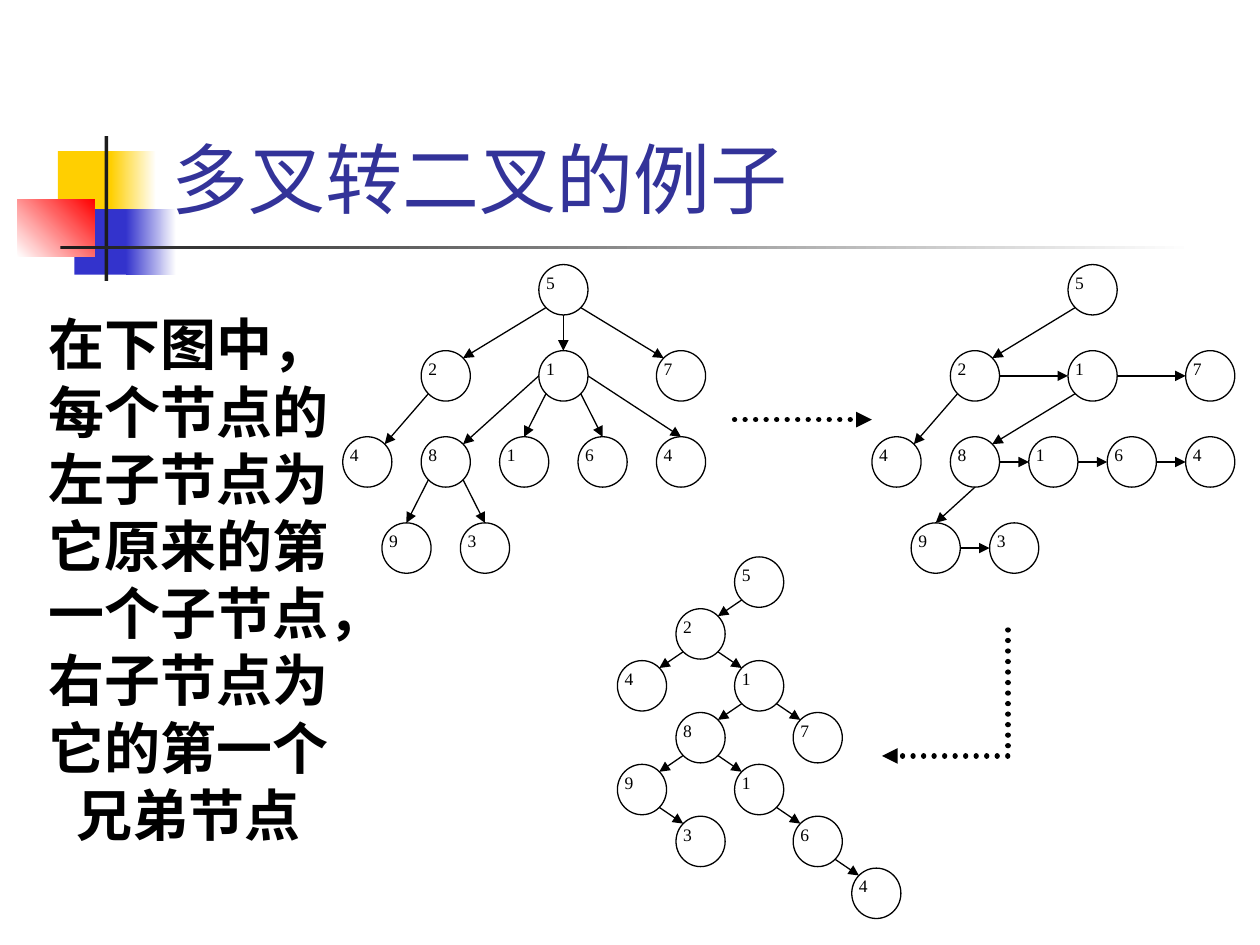
import math

import pptx
import pptx.dml.color
import pptx.enum.dml
import pptx.enum.shapes
import pptx.enum.text
import pptx.oxml
import pptx.oxml.ns
import pptx.util

Inches = pptx.util.Inches
SHAPE = pptx.enum.shapes.MSO_SHAPE
ANCHOR = pptx.enum.text.MSO_ANCHOR
ALIGN = pptx.enum.text.PP_ALIGN

BLACK = "000000"
WHITE = "FFFFFF"
NODE_W, NODE_H = 0.39, 0.4
SITE_ANGLES = {"E": 0, "SE": 45, "S": 90, "SW": 135, "W": 180, "NW": 225, "N": 270, "NE": 315}

DECORATIONS = [
    (0.46, 1.2, 0.48, 0.52, ["FFCF01"], 0),
    (0.88, 1.2, 0.36, 0.52, ["FFCF01", WHITE], 0),
    (0.59, 1.66, 0.46, 0.52, ["3333CC"], 0),
    (1, 1.66, 0.4, 0.52, ["3333CC", WHITE], 0),
    (0.14, 1.58, 0.61, 0.46, [WHITE, "FF0000"], 45),
    (0.83, 1.08, 0.03, 1.15, ["1C1C1C"], 0),
    (0.48, 1.95, 9, 0.03, ["1C1C1C", WHITE], 0),
]

# Node keys start with the label; a letter tells equal labels apart.
WIDE_NODES = {
    "5": (5, 0), "2": (2, 1), "1": (5, 1), "7": (8, 1), "4": (0, 2), "8": (2, 2),
    "1b": (4, 2), "6": (6, 2), "4b": (8, 2), "9": (1, 3), "3": (3, 3),
}
BINARY_NODES = {
    "5": (2, 0), "2": (1, 1), "4": (0, 2), "1": (2, 2), "8": (1, 3), "7": (3, 3),
    "9": (0, 4), "1b": (2, 4), "3": (1, 5), "6": (3, 5), "4b": (4, 6),
}
MULTIWAY_EDGES = [
    ("5", "SW", "2", "NE"), ("5", "S", "1", "N"), ("5", "SE", "7", "NW"),
    ("2", "SW", "4", "NE"), ("1", "W", "8", "NE"), ("1", "SW", "1b", "N"),
    ("1", "SE", "6", "N"), ("1", "E", "4b", "N"),
    ("8", "SW", "9", "N"), ("8", "SE", "3", "N"),
]
FIRST_CHILDREN = [("5", "2"), ("2", "4"), ("1", "8"), ("8", "9")]
NEXT_SIBLINGS = [("2", "1"), ("1", "7"), ("8", "1b"), ("1b", "6"), ("6", "4b"), ("9", "3")]


def rgb(color):
    return pptx.dml.color.RGBColor.from_string(color)


def add_text(sp, text, *, font, size, color=BLACK, bold=False, align=ALIGN.LEFT,
             anchor=ANCHOR.TOP, margins=(0, 0)):
    tf = sp.text_frame
    tf.word_wrap = True
    tf.vertical_anchor = anchor
    tf.margin_left = tf.margin_right = Inches(margins[0])
    tf.margin_top = tf.margin_bottom = Inches(margins[1])
    p = tf.paragraphs[0]
    p.alignment = align
    r = p.add_run()
    r.text = text
    r.font.name = font
    r.font.size = pptx.util.Pt(size)
    r.font.bold = bold
    r.font.color.rgb = rgb(color)


def add_text_box(s, x, y, w, h, text, **style):
    sp = s.shapes.add_textbox(Inches(x), Inches(y), Inches(w), Inches(h))
    add_text(sp, text, margins=(0.1, 0.05), **style)


def add_decoration(s, x, y, w, h, colors, angle):
    sp = s.shapes.add_shape(SHAPE.RECTANGLE, Inches(x), Inches(y), Inches(w), Inches(h))
    sp.shadow.inherit = False
    sp.line.fill.background()
    if len(colors) == 1:
        sp.fill.solid()
        sp.fill.fore_color.rgb = rgb(colors[0])
    else:
        sp.fill.gradient()
        sp.fill.gradient_angle = angle
        for stop, color in zip(sp.fill.gradient_stops, colors):
            stop.color.rgb = rgb(color)


def set_line(sp, width):
    sp.line.color.rgb = rgb(BLACK)
    sp.line.width = pptx.util.Pt(width)


def element(tag):
    return pptx.oxml.parse_xml(f"<{tag} {pptx.oxml.ns.nsdecls('a')}/>")


def style_arrow(sp, width, dotted=False):
    set_line(sp, width)
    ln = sp.line._get_or_add_ln()
    if dotted:
        sp.line.dash_style = pptx.enum.dml.MSO_LINE.ROUND_DOT
        ln.set("cap", "rnd")
    head = element("a:tailEnd")
    head.set("type", "triangle")
    ln.append(head)


def add_arrow(shapes, start, end, width=0.75, dotted=False):
    line = shapes.add_connector(pptx.enum.shapes.MSO_CONNECTOR.STRAIGHT,
                                *(Inches(v) for v in (*start, *end)))
    style_arrow(line, width, dotted)
    line._element.spPr.append(element("a:effectLst"))


def add_curved_arrow(s, points):
    builder = s.shapes.build_freeform(*points[0], scale=Inches(1))
    builder.add_line_segments(points[1:], close=False)
    sp = builder.convert_to_shape()
    sp.shadow.inherit = False
    sp.fill.background()
    segments = sp._element.findall(".//" + pptx.oxml.ns.qn("a:lnTo"))
    for i in range(0, len(segments), 3):
        curve = element("a:cubicBezTo")
        segments[i].addprevious(curve)
        for segment in segments[i:i + 3]:
            curve.append(segment[0])
            segment.getparent().remove(segment)
    style_arrow(sp, 3, dotted=True)


def add_node(shapes, x, y, label):
    sp = shapes.add_shape(SHAPE.OVAL, Inches(x), Inches(y), Inches(NODE_W), Inches(NODE_H))
    sp.shadow.inherit = False
    sp.fill.solid()
    sp.fill.fore_color.rgb = rgb(WHITE)
    set_line(sp, 0.75)
    add_text(sp, label, font="Times New Roman", size=10)


def site(corner, name):
    angle = math.radians(SITE_ANGLES[name])
    return (corner[0] + NODE_W / 2 * (1 + math.cos(angle)),
            corner[1] + NODE_H / 2 * (1 + math.sin(angle)))


def add_tree(s, left, top, step_x, step_y, nodes, edges):
    shapes = s.shapes.add_group_shape().shapes
    corners = {key: (left + col * step_x, top + row * step_y)
               for key, (col, row) in nodes.items()}
    for key, corner in corners.items():
        add_node(shapes, *corner, key[0])
    for parent, start, child, end in edges:
        add_arrow(shapes, site(corners[parent], start), site(corners[child], end))


def main():
    prs = pptx.Presentation()
    prs.slide_width, prs.slide_height = Inches(10), Inches(7.5)
    s = prs.slides.add_slide(prs.slide_layouts[6])

    for decoration in DECORATIONS:
        add_decoration(s, *decoration)
    add_text_box(s, 1.26, 0.23, 8.52, 1.6, "多叉转二叉的例子",
                 font="Roboto", size=44, color="333399", anchor=ANCHOR.BOTTOM)
    add_text_box(s, 0.2, 2.41, 2.6, 4.37,
                 "在下图中，每个节点的左子节点为它原来的第一个子节点，右子节点为它的第一个兄弟节点",
                 font="Arial", size=32, bold=True, align=ALIGN.CENTER)

    linked_edges = [(a, "S" if a == "8" else "SW", b, "N" if a == "8" else "NE")
                    for a, b in FIRST_CHILDREN]
    linked_edges += [(a, "E", b, "W") for a, b in NEXT_SIBLINGS]
    binary_edges = [(a, "SW", b, "NE") for a, b in FIRST_CHILDREN]
    binary_edges += [(a, "SE", b, "NW") for a, b in NEXT_SIBLINGS]

    add_tree(s, 2.72, 2.1, 2.49 / 8, 2.05 / 3, WIDE_NODES, MULTIWAY_EDGES)
    add_arrow(s.shapes, (5.83, 3.33), (6.92, 3.33), width=3, dotted=True)
    add_tree(s, 6.92, 2.1, 2.49 / 8, 2.05 / 3, WIDE_NODES, linked_edges)
    add_tree(s, 4.9, 4.42, 1.86 / 4, 2.47 / 6, BINARY_NODES, binary_edges)
    add_curved_arrow(s, [(8.44, 4.84), (8.43, 4.96), (8.48, 5.36), (8.38, 5.56),
                         (8.28, 5.76), (8.05, 5.94), (7.86, 6.05),
                         (7.67, 6.16), (7.36, 6.18), (7.23, 6.21)])

    prs.save("out.pptx")


if __name__ == "__main__":
    main()
